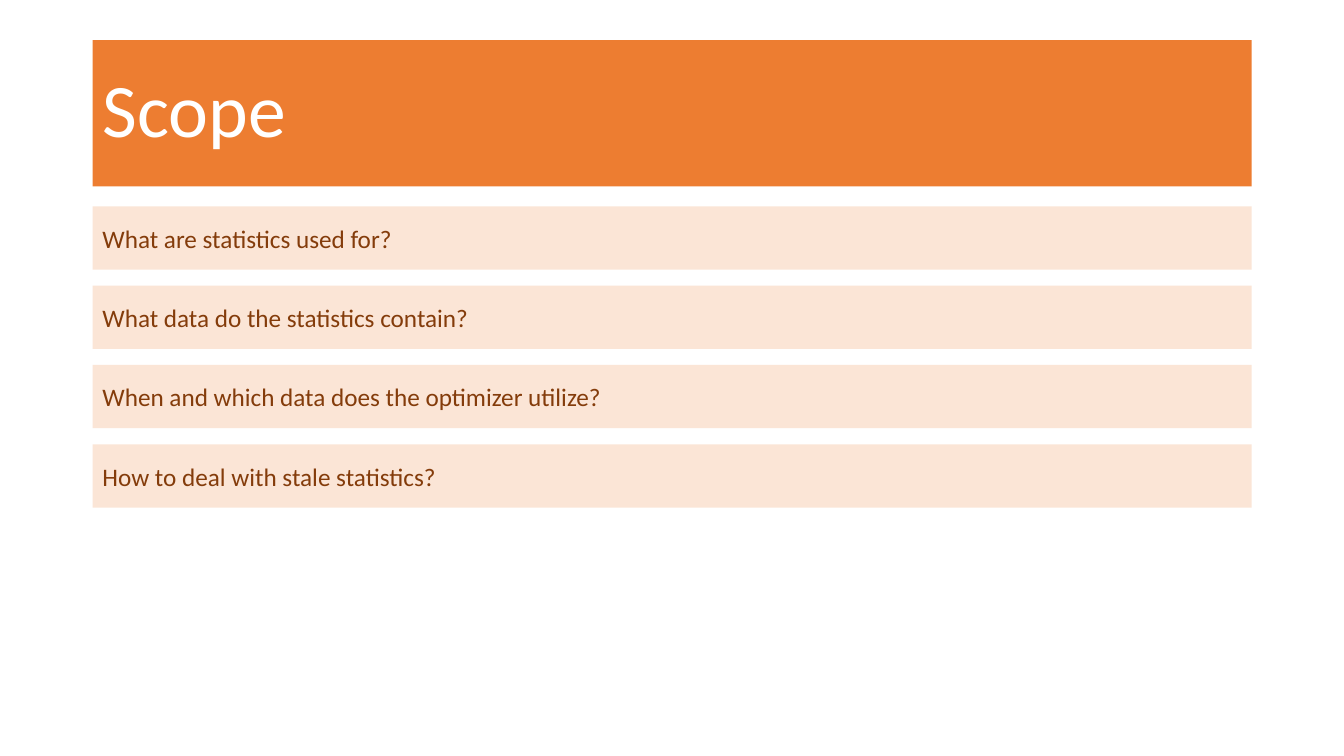
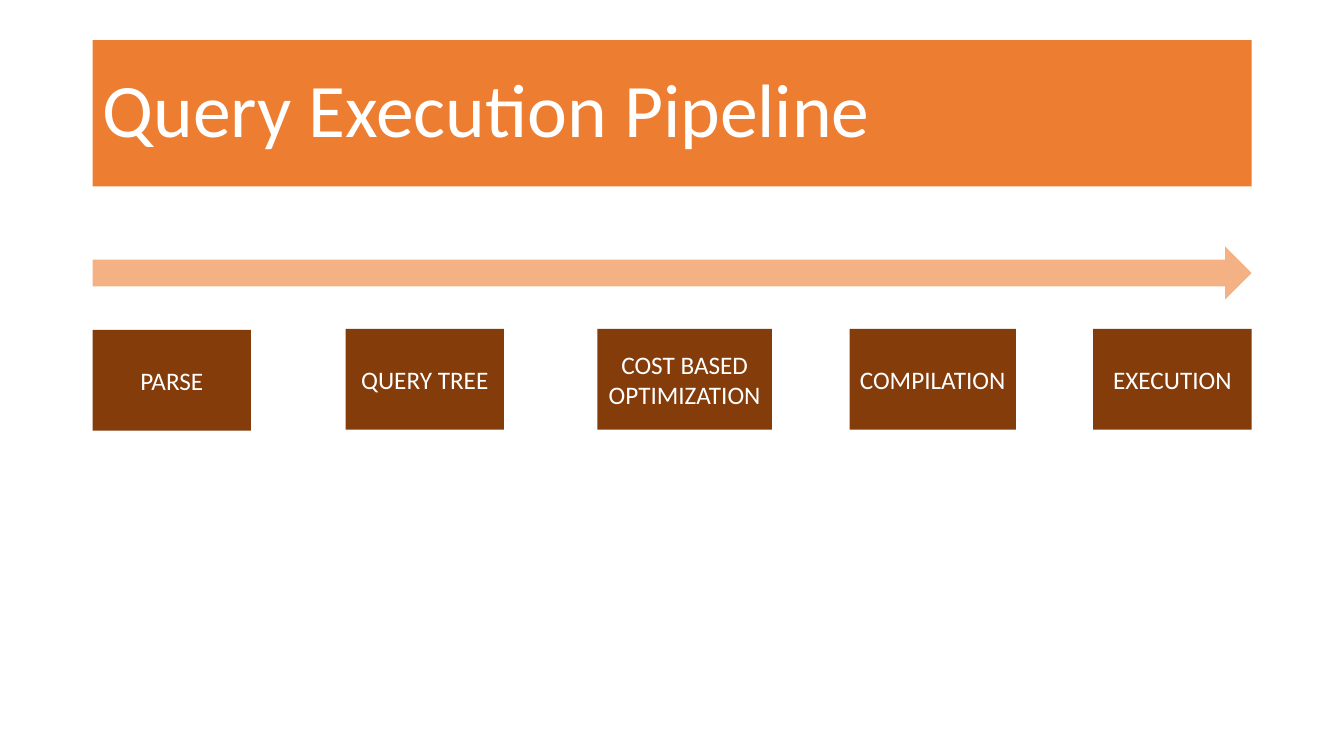
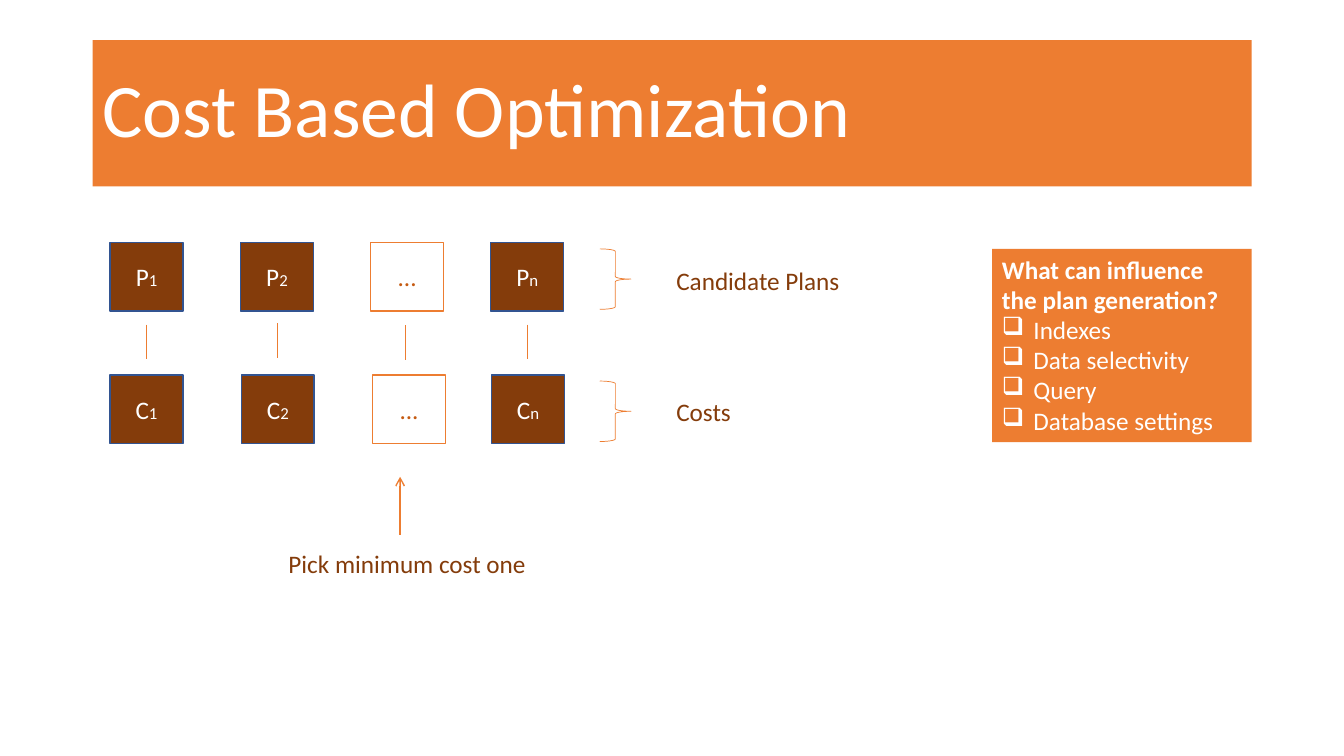
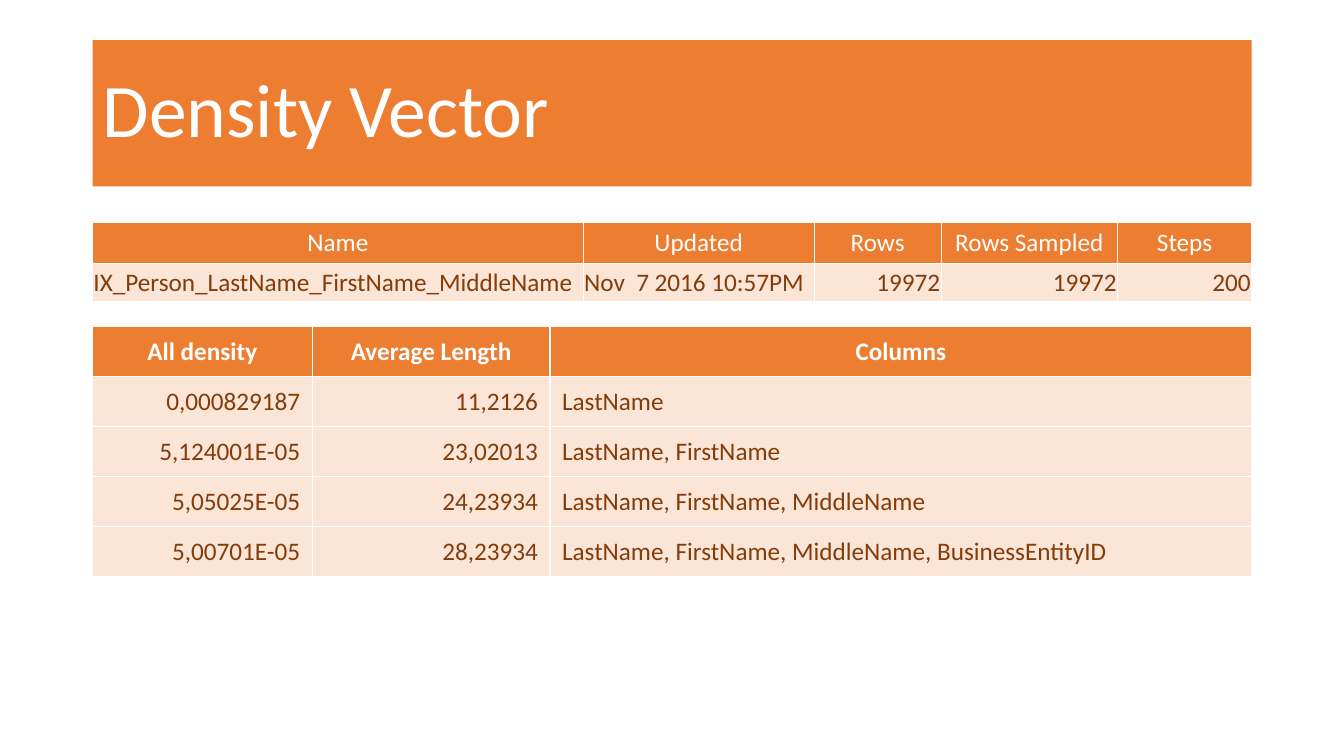
from lxml import etree
from pptx import Presentation
from pptx.dml.color import RGBColor
from pptx.enum.shapes import MSO_CONNECTOR, MSO_SHAPE
from pptx.enum.text import MSO_ANCHOR, MSO_AUTO_SIZE, PP_ALIGN
from pptx.oxml import parse_xml
from pptx.oxml.ns import nsdecls, qn
from pptx.util import Pt

ORANGE = RGBColor(0xED, 0x7D, 0x31)
LIGHT_ORANGE = RGBColor(0xF4, 0xB1, 0x83)
PALE_ORANGE = RGBColor(0xFB, 0xE5, 0xD6)
DARK_ORANGE = RGBColor(0xC5, 0x5A, 0x11)
BROWN = RGBColor(0x84, 0x3C, 0x0B)
BLUE = RGBColor(0x32, 0x54, 0x91)
WHITE = RGBColor(0xFF, 0xFF, 0xFF)
FONT = "Calibri"
LEFT, WIDTH = 66.1, 828


def write(paragraph, text, color, align=PP_ALIGN.LEFT, size=18, bold=False):
    paragraph.alignment = align
    run = paragraph.add_run()
    run.text = text
    run.font.name = FONT
    run.font.size = Pt(size)
    run.font.bold = bold
    run.font.color.rgb = color


def add_box(slide, kind, left, top, width, height, fill=None, line=None, weight=1):
    box = slide.shapes.add_shape(kind, Pt(left), Pt(top), Pt(width), Pt(height))
    box.shadow.inherit = False
    if fill is None:
        box.fill.background()
    else:
        box.fill.solid()
        box.fill.fore_color.rgb = fill
    if line is None:
        box.line.fill.background()
    else:
        box.line.color.rgb = line
        box.line.width = Pt(weight)
    return box


prs = Presentation()
prs.slide_width, prs.slide_height = Pt(960), Pt(540)

slides = []
for heading in ("Scope", "Query Execution Pipeline", "Cost Based Optimization", "Density Vector"):
    slide = prs.slides.add_slide(prs.slide_layouts[5])
    title = slide.shapes.title
    title.left, title.top, title.width, title.height = Pt(LEFT), Pt(28.75), Pt(WIDTH), Pt(104.4)
    title.fill.solid()
    title.fill.fore_color.rgb = ORANGE
    frame = title.text_frame
    frame.auto_size = MSO_AUTO_SIZE.NONE
    frame.vertical_anchor = MSO_ANCHOR.MIDDLE
    frame.paragraphs[0].line_spacing = 0.9
    write(frame.paragraphs[0], heading, WHITE, size=54)
    slides.append(slide)
scope, pipeline, optimization, density = slides

questions = (
    "What are statistics used for?",
    "What data do the statistics contain?",
    "When and which data does the optimizer utilize?",
    "How to deal with stale statistics?",
)
for index, question in enumerate(questions):
    panel = add_box(scope, MSO_SHAPE.RECTANGLE, LEFT, 147.4 + index * 56.65, WIDTH, 45.2, PALE_ORANGE)
    write(panel.text_frame.paragraphs[0], question, BROWN)

add_box(pipeline, MSO_SHAPE.RIGHT_ARROW, LEFT, 176, WIDTH, 38, LIGHT_ORANGE)
stages = (
    ("PARSE", LEFT, 235.7, 113.2),
    ("QUERY TREE", 246.8, 235, 113.2),
    ("COST BASED OPTIMIZATION", 426.8, 235, 124.6),
    ("COMPILATION", 606.8, 235, 118.8),
    ("EXECUTION", 780.8, 235, 113.2),
)
for stage, left, top, width in stages:
    block = add_box(pipeline, MSO_SHAPE.RECTANGLE, left, top, width, 72, BROWN)
    write(block.text_frame.paragraphs[0], stage, WHITE, PP_ALIGN.CENTER)

PLAN_TOP, COST_TOP = 173.2, 267.8
links = []
columns = (
    ("1", 78.7, 78.7, 104.4, 231.8),
    ("2", 171.9, 172.5, 198.2, 231),
    (None, 264.8, 266.2, 289.4, 232.4),
    ("n", 350.6, 351.2, 376.7, 231.8),
)
for index, plan_left, cost_left, link_x, link_top in columns:
    for letter, left, top in (("P", plan_left, PLAN_TOP), ("C", cost_left, COST_TOP)):
        fill, line = (BROWN, BLUE) if index else (WHITE, ORANGE)
        cell = add_box(optimization, MSO_SHAPE.RECTANGLE, left, top, 52, 49, fill, line)
        paragraph = cell.text_frame.paragraphs[0]
        if index:
            write(paragraph, letter, WHITE, PP_ALIGN.CENTER)
            write(paragraph, index, WHITE, PP_ALIGN.CENTER, 12)
        else:
            write(paragraph, "...", DARK_ORANGE, PP_ALIGN.CENTER)
    links.append((link_x, link_top, link_top + 24.5, 0.5))

PICK_ARROW = (285.8, 381.8, 340.6, 1)
for x, start, end, weight in links + [PICK_ARROW]:
    link = optimization.shapes.add_connector(MSO_CONNECTOR.STRAIGHT, Pt(x), Pt(start), Pt(x), Pt(end))
    link.line.color.rgb = ORANGE
    link.line.width = Pt(weight)
    properties = link._element.spPr
    etree.SubElement(properties, qn("a:effectLst"))
etree.SubElement(properties.find(qn("a:ln")), qn("a:tailEnd"), type="arrow")

for top in (177.8, 272.2):
    add_box(optimization, MSO_SHAPE.RIGHT_BRACE, 428.4, top, 22.3, 43.2, line=ORANGE, weight=0.5)

captions = (
    ("Candidate Plans", 476, 185.8, 142, PP_ALIGN.LEFT),
    ("Costs", 476, 279.7, 142, PP_ALIGN.LEFT),
    ("Pick minimum cost one", 182.8, 388, 216, PP_ALIGN.CENTER),
)
for caption, left, top, width, align in captions:
    label = optimization.shapes.add_textbox(Pt(left), Pt(top), Pt(width), Pt(29))
    label.text_frame.word_wrap = True
    write(label.text_frame.paragraphs[0], caption, BROWN, align)

influences = add_box(optimization, MSO_SHAPE.RECTANGLE, 708.6, 177.8, 185.4, 138, ORANGE)
frame = influences.text_frame
frame.vertical_anchor = MSO_ANCHOR.TOP
write(frame.paragraphs[0], "What can influence the plan generation?", WHITE, bold=True)
for influence in ("Indexes", "Data selectivity", "Query", "Database settings"):
    paragraph = frame.add_paragraph()
    write(paragraph, influence, WHITE)
    properties = paragraph._p.get_or_add_pPr()
    properties.set("marL", str(Pt(22.5)))
    properties.set("indent", str(-Pt(22.5)))
    etree.SubElement(properties, qn("a:buChar"), char="❑")

L, R = PP_ALIGN.LEFT, PP_ALIGN.RIGHT
tables = (
    (
        158.6, (350.5, 165, 90.7, 126, 95.8), (29.6, 27.2), (L, L, R, R, R), 0.7, False,
        (
            ("Name", "Updated", "Rows", "Rows Sampled", "Steps"),
            ("IX_Person_LastName_FirstName_MiddleName", "Nov  7 2016 10:57PM", "19972", "19972", "200"),
        ),
    ),
    (
        233, (157, 169.8, 501.2), (35.75,) * 5, (R, R, L), 8.6, True,
        (
            ("All density", "Average Length", "Columns"),
            ("0,000829187", "11,2126", "LastName"),
            ("5,124001E-05", "23,02013", "LastName, FirstName"),
            ("5,05025E-05", "24,23934", "LastName, FirstName, MiddleName"),
            ("5,00701E-05", "28,23934", "LastName, FirstName, MiddleName, BusinessEntityID"),
        ),
    ),
)
for top, widths, heights, aligns, inset, bold_header, rows in tables:
    table = density.shapes.add_table(
        len(rows), len(widths), Pt(LEFT), Pt(top), Pt(WIDTH), Pt(sum(heights))
    ).table
    for column, width in zip(table.columns, widths):
        column.width = Pt(width)
    for row_index, (height, values) in enumerate(zip(heights, rows)):
        table.rows[row_index].height = Pt(height)
        header = row_index == 0
        for column_index, value in enumerate(values):
            cell = table.cell(row_index, column_index)
            cell.margin_left = cell.margin_right = Pt(0.7 if header else inset)
            cell.margin_top, cell.margin_bottom = Pt(0.7), 0
            cell.vertical_anchor = MSO_ANCHOR.MIDDLE
            for side in ("lnL", "lnR", "lnT", "lnB"):
                cell._tc.get_or_add_tcPr().append(parse_xml(
                    f'<a:{side} {nsdecls("a")} w="{Pt(1)}"><a:solidFill>'
                    f'<a:srgbClr val="{WHITE}"/></a:solidFill></a:{side}>'
                ))
            cell.fill.solid()
            cell.fill.fore_color.rgb = ORANGE if header else PALE_ORANGE
            write(
                cell.text_frame.paragraphs[0], value, WHITE if header else BROWN,
                PP_ALIGN.CENTER if header else aligns[column_index], bold=header and bold_header,
            )

prs.save("out.pptx")
